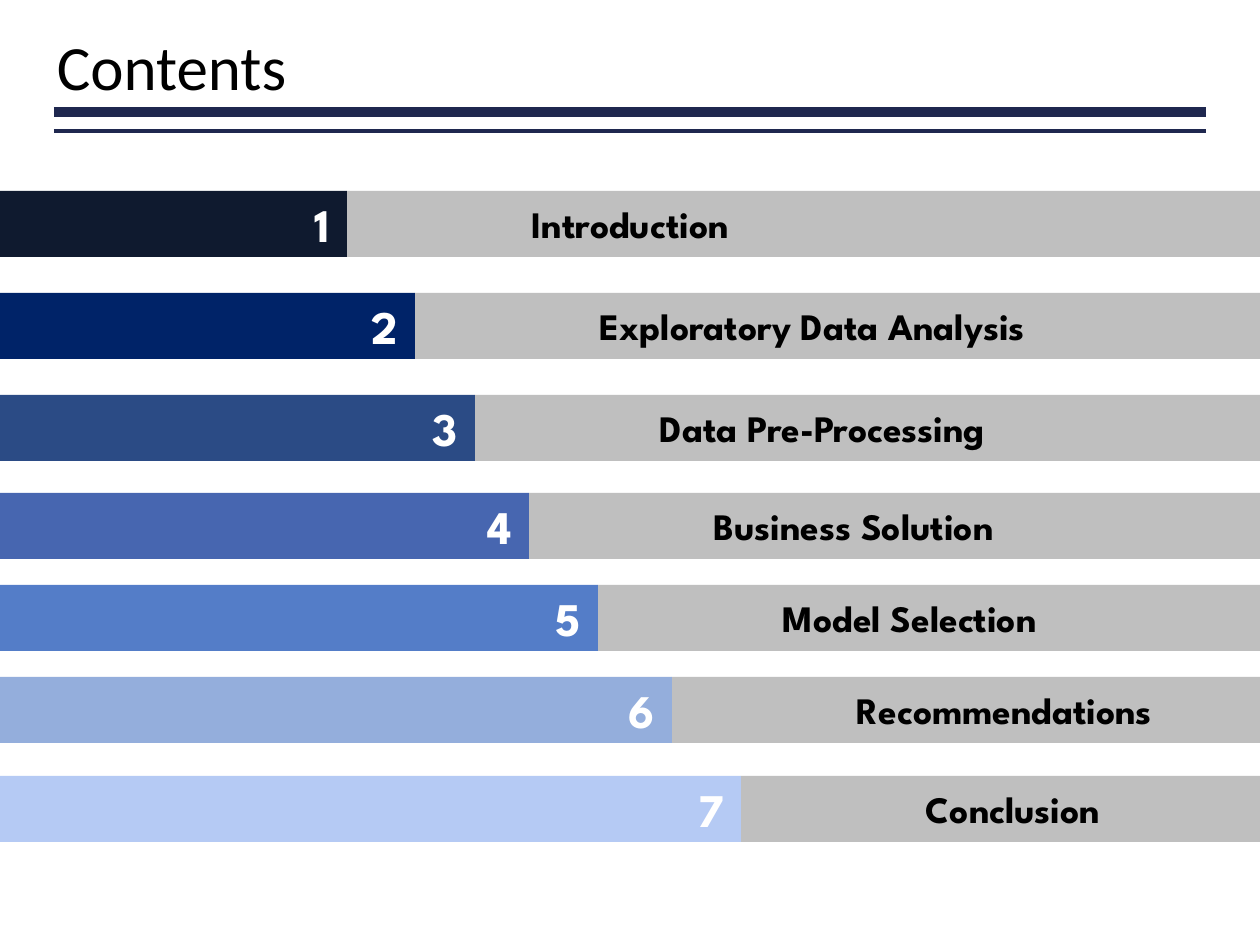
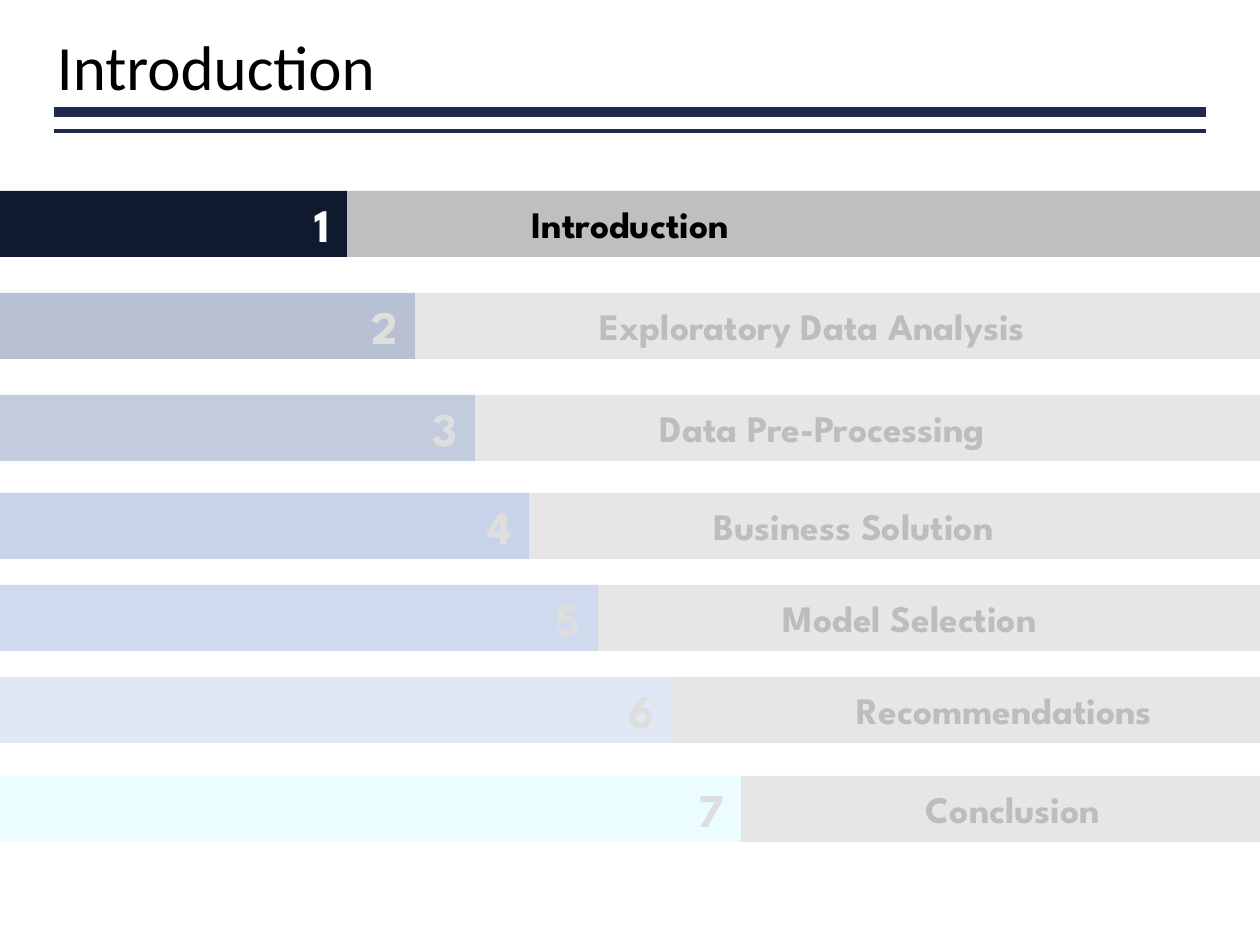
"""Build the contents slide and the introduction divider slide."""
import dataclasses

import lxml.etree
import pptx
import pptx.dml.color
import pptx.enum.shapes
import pptx.enum.text
import pptx.oxml.ns
import pptx.util


@dataclasses.dataclass(frozen=True)
class Theme:
    """Colours, fonts and type sizes shared by the slides."""
    rule: str = "1F284F"
    ink: str = "000000"
    paper: str = "FFFFFF"
    bar: str = "BFBFBF"
    muted_bar: str = "E6E6E6"
    muted_label: str = "BDBDBD"
    muted_number: str = "DEDEDE"
    muted_alpha: int = 28
    title_font: str = "Calibri"
    bar_font: str = "League Spartan"
    title_size: int = 27
    number_size: int = 20
    label_size: int = 16


@dataclasses.dataclass(frozen=True)
class Section:
    """One agenda row: its label, place and colours."""
    label: str
    top: int
    split: int
    color: str
    muted: str


THEME = Theme()
WIDTH, HEIGHT = 1260, 945
BAR_HEIGHT = 66
INSET = 17
LABEL_INDENT = 185
SECTIONS = [
    Section("Introduction", 191, 347, "0F1A2F", "0F1A2F"),
    Section("Exploratory Data Analysis", 293, 415, "002368", "002368"),
    Section("Data Pre-Processing", 395, 475, "2B4B85", "2B4B85"),
    Section("Business Solution", 493, 529, "4766B0", "3862AE"),
    Section("Model Selection", 585, 598, "547DC8", "547DC8"),
    Section("Recommendations", 677, 672, "94AEDC", "94AEDC"),
    Section("Conclusion", 776, 741, "B5CAF4", "BAF8FF"),
]


def px(n):
    """Turn pixels into EMU."""
    return pptx.util.Emu(round(n * 914400 / 168))


def rgb(color):
    """Turn a hex string into a colour."""
    return pptx.dml.color.RGBColor.from_string(color)


def set_text(sp, text, font, size, color, bold=False, align="LEFT", insets=(INSET, 8, INSET, 8)):
    """Write one middle-anchored line of text into a shape."""
    tf = sp.text_frame
    tf.word_wrap = True
    tf.vertical_anchor = pptx.enum.text.MSO_ANCHOR.MIDDLE
    tf.margin_left, tf.margin_top, tf.margin_right, tf.margin_bottom = map(px, insets)
    p = tf.paragraphs[0]
    p.alignment = pptx.enum.text.PP_ALIGN[align]
    r = p.add_run()
    r.text = text
    r.font.name = font
    r.font.size = pptx.util.Pt(size)
    r.font.bold = bold
    r.font.color.rgb = rgb(color)
    return p


def add_bar(s, left, top, right, color, alpha=100):
    """Add a borderless bar between two x positions."""
    sp = s.shapes.add_shape(pptx.enum.shapes.MSO_SHAPE.RECTANGLE,
                            px(left), px(top), px(right - left), px(BAR_HEIGHT))
    sp.shadow.inherit = False
    sp.line.fill.background()
    sp.fill.solid()
    sp.fill.fore_color.rgb = rgb(color)
    if alpha < 100:
        clr = sp._element.spPr.find(".//" + pptx.oxml.ns.qn("a:srgbClr"))
        lxml.etree.SubElement(clr, pptx.oxml.ns.qn("a:alpha"), val=str(alpha * 1000))
    return sp


def add_rule(s, y, weight):
    """Add a horizontal rule under the title."""
    line = s.shapes.add_connector(pptx.enum.shapes.MSO_CONNECTOR.STRAIGHT,
                                  px(54), px(y), px(1206), px(y))
    line.line.color.rgb = rgb(THEME.rule)
    line.line.width = pptx.util.Pt(weight)
    lxml.etree.SubElement(line._element.spPr, pptx.oxml.ns.qn("a:effectLst"))


def add_header(s, title):
    """Add the title and its double rule."""
    add_rule(s, 112, 4.5)
    add_rule(s, 131, 1.5)
    sp = s.shapes.add_textbox(px(47), px(27), px(756), px(86))
    p = set_text(sp, title, THEME.title_font, THEME.title_size, THEME.ink, insets=(10, 5, 10, 5))
    p.line_spacing = 0.9


def add_section(s, number, section, active):
    """Add one agenda row, muted unless it is active."""
    label_bar = add_bar(s, section.split, section.top, WIDTH,
                        THEME.bar if active else THEME.muted_bar)
    set_text(label_bar, section.label, THEME.bar_font, THEME.label_size,
             THEME.ink if active else THEME.muted_label, bold=True,
             insets=(LABEL_INDENT, 8, INSET, 8))
    number_bar = add_bar(s, 0, section.top, section.split,
                         section.color if active else section.muted,
                         100 if active else THEME.muted_alpha)
    set_text(number_bar, str(number), THEME.bar_font, THEME.number_size,
             THEME.paper if active else THEME.muted_number, bold=True, align="RIGHT")


def add_agenda_slide(prs, title, current=None):
    """Add an agenda slide that highlights one section, or all of them."""
    s = prs.slides.add_slide(prs.slide_layouts[6])
    add_header(s, title)
    for number, section in enumerate(SECTIONS, 1):
        add_section(s, number, section, current in (None, number))


def main():
    """Build and save the presentation."""
    prs = pptx.Presentation()
    prs.slide_width, prs.slide_height = px(WIDTH), px(HEIGHT)
    add_agenda_slide(prs, "Contents")
    add_agenda_slide(prs, "Introduction", current=1)
    prs.save("out.pptx")


if __name__ == "__main__":
    main()
